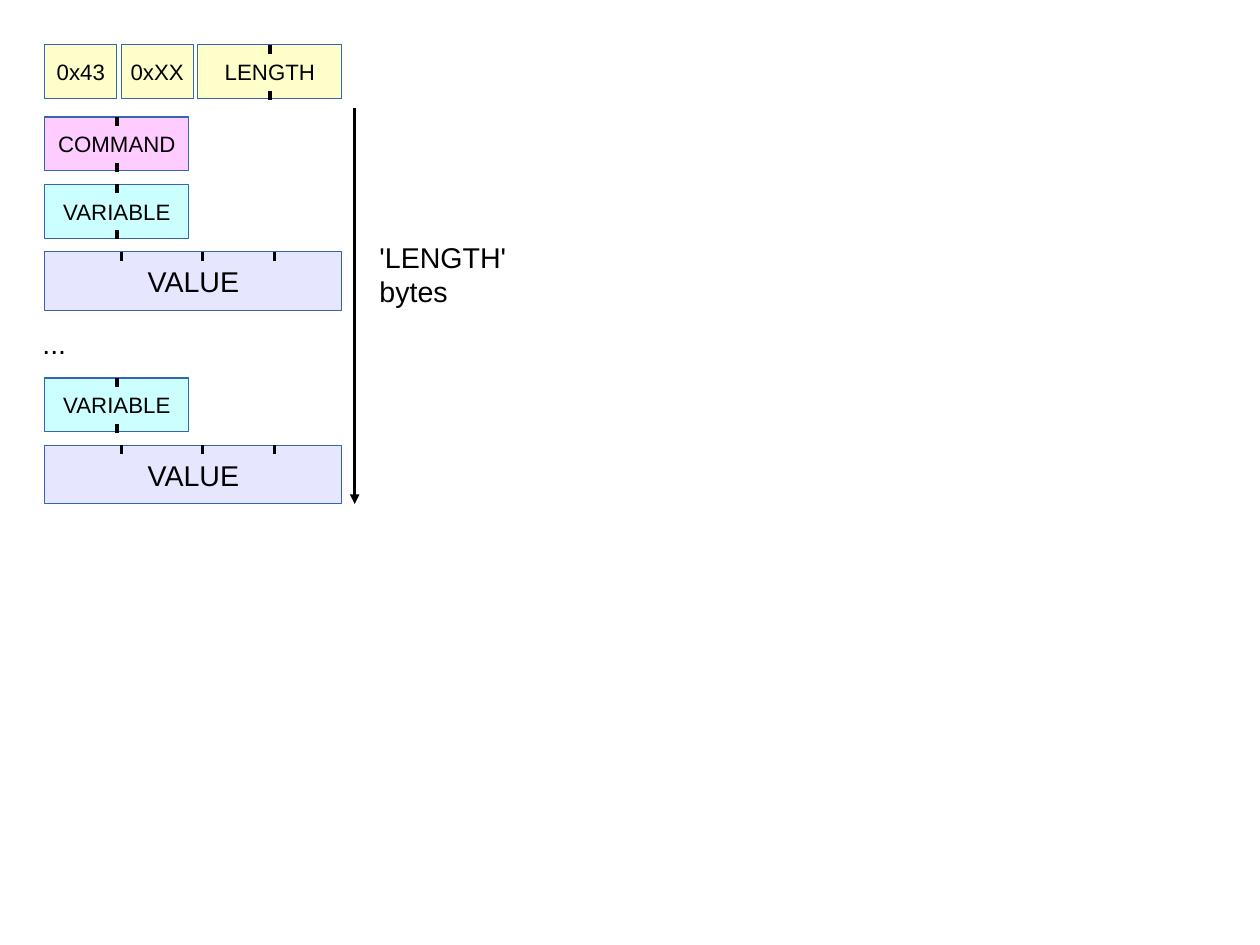
from lxml import etree
from pptx import Presentation
from pptx.dml.color import RGBColor
from pptx.enum.shapes import MSO_CONNECTOR, MSO_SHAPE
from pptx.enum.text import MSO_ANCHOR, MSO_AUTO_SIZE, PP_ALIGN
from pptx.oxml.ns import qn
from pptx.util import Pt

RECTANGLE = MSO_SHAPE.RECTANGLE
STRAIGHT = MSO_CONNECTOR.STRAIGHT
MIDDLE = MSO_ANCHOR.MIDDLE
CENTER = PP_ALIGN.CENTER
GROW = MSO_AUTO_SIZE.SHAPE_TO_FIT_TEXT

BLACK = RGBColor(0x00, 0x00, 0x00)
OUTLINE = RGBColor(0x34, 0x65, 0xAF)
YELLOW = RGBColor(0xFF, 0xFF, 0xCC)
PINK = RGBColor(0xFF, 0xCC, 0xFF)
CYAN = RGBColor(0xCC, 0xFF, 0xFF)
LAVENDER = RGBColor(0xE6, 0xE6, 0xFF)

FONT = "Arial"
LEFT = 28.3
BYTE_W, WORD_W, VALUE_W = 45.4, 90.7, 187.1
FIELD_H, VALUE_H = 34, 36.8
TICK = 5.7
VALUE_TICKS = (48.2, 99.2, 144.6)
HEADER_TOP, COMMAND_TOP = 28.3, 73.7
PAIR_TOPS = (116.2, 238.1)
PAIR_STEP = 42.5


def format_text(tf, text, size):
    tf.text = text
    tf.word_wrap = False
    font = tf.paragraphs[0].runs[0].font
    font.name, font.size = FONT, Pt(size)
    font.color.rgb = BLACK


def add_box(slide, text, left, top, width, height, fill, size=14):
    sp = slide.shapes.add_shape(RECTANGLE, Pt(left), Pt(top), Pt(width), Pt(height))
    sp.shadow.inherit = False
    sp.fill.solid()
    sp.fill.fore_color.rgb = fill
    sp.line.color.rgb = OUTLINE
    sp.line.width = Pt(0)
    tf = sp.text_frame
    format_text(tf, text, size)
    tf.vertical_anchor = MIDDLE
    tf.paragraphs[0].alignment = CENTER


def add_label(slide, text, left, top, width, height):
    tb = slide.shapes.add_textbox(Pt(left), Pt(top), Pt(width), Pt(height))
    format_text(tb.text_frame, text, 18)
    tb.text_frame.auto_size = GROW


def add_vertical(slide, x, top, bottom, arrow=False):
    line = slide.shapes.add_connector(STRAIGHT, Pt(x), Pt(top), Pt(x), Pt(bottom))
    line.line.color.rgb = BLACK
    line.line.width = Pt(0)
    sp_pr = line.line._get_or_add_ln().getparent()
    etree.SubElement(sp_pr, qn("a:effectLst"))
    if arrow:
        etree.SubElement(sp_pr.find(qn("a:ln")), qn("a:tailEnd"), type="triangle")


def add_word(slide, text, left, top, fill):
    """Two-byte field with ticks at the byte boundary."""
    add_box(slide, text, left, top, WORD_W, FIELD_H, fill)
    middle = left + WORD_W / 2
    for tick_top in (top, top + FIELD_H - TICK + 0.6):
        add_vertical(slide, middle, tick_top, tick_top + TICK)


def add_value(slide, top):
    """Four-byte field with ticks along its top edge."""
    add_box(slide, "VALUE", LEFT, top, VALUE_W, VALUE_H, LAVENDER, 18)
    for offset in VALUE_TICKS:
        add_vertical(slide, LEFT + offset, top, top + TICK)


def main():
    prs = Presentation()
    prs.slide_width, prs.slide_height = Pt(793.7), Pt(595.3)
    slide = prs.slides.add_slide(prs.slide_layouts[6])

    # Header
    for i, text in enumerate(("0x43", "0xXX")):
        add_box(slide, text, LEFT + i * 48.1, HEADER_TOP, BYTE_W, FIELD_H, YELLOW)
    add_word(slide, "LENGTH", LEFT + VALUE_W - WORD_W, HEADER_TOP, YELLOW)

    # Payload
    add_word(slide, "COMMAND", LEFT, COMMAND_TOP, PINK)
    for top in PAIR_TOPS:
        add_word(slide, "VARIABLE", LEFT, top, CYAN)
        add_value(slide, top + PAIR_STEP)
    add_label(slide, "...", 19.6, 201.6, 29.5, 27.4)

    # Payload length
    add_vertical(slide, 223.4, 68, 317.5, arrow=True)
    add_label(slide, "'LENGTH' bytes", 232, 147.6, 141.8, 27.4)

    prs.save("out.pptx")


if __name__ == "__main__":
    main()
